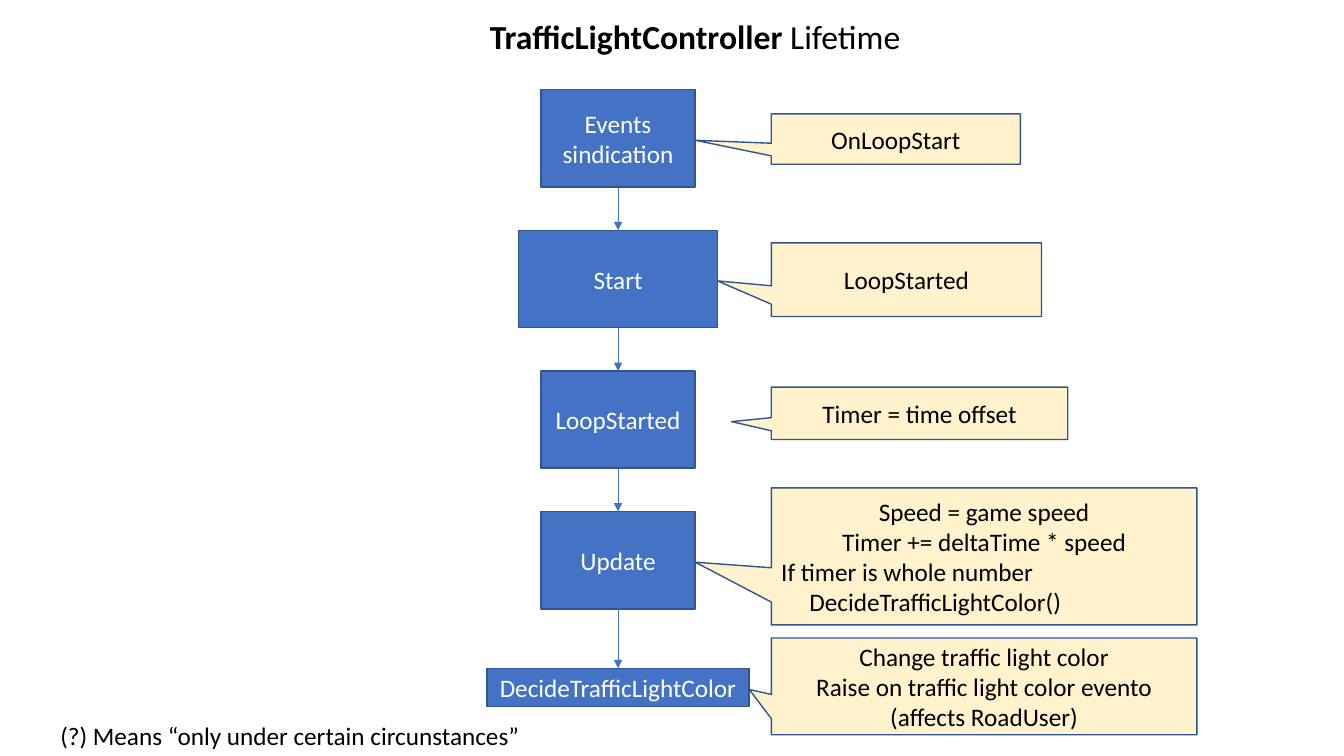
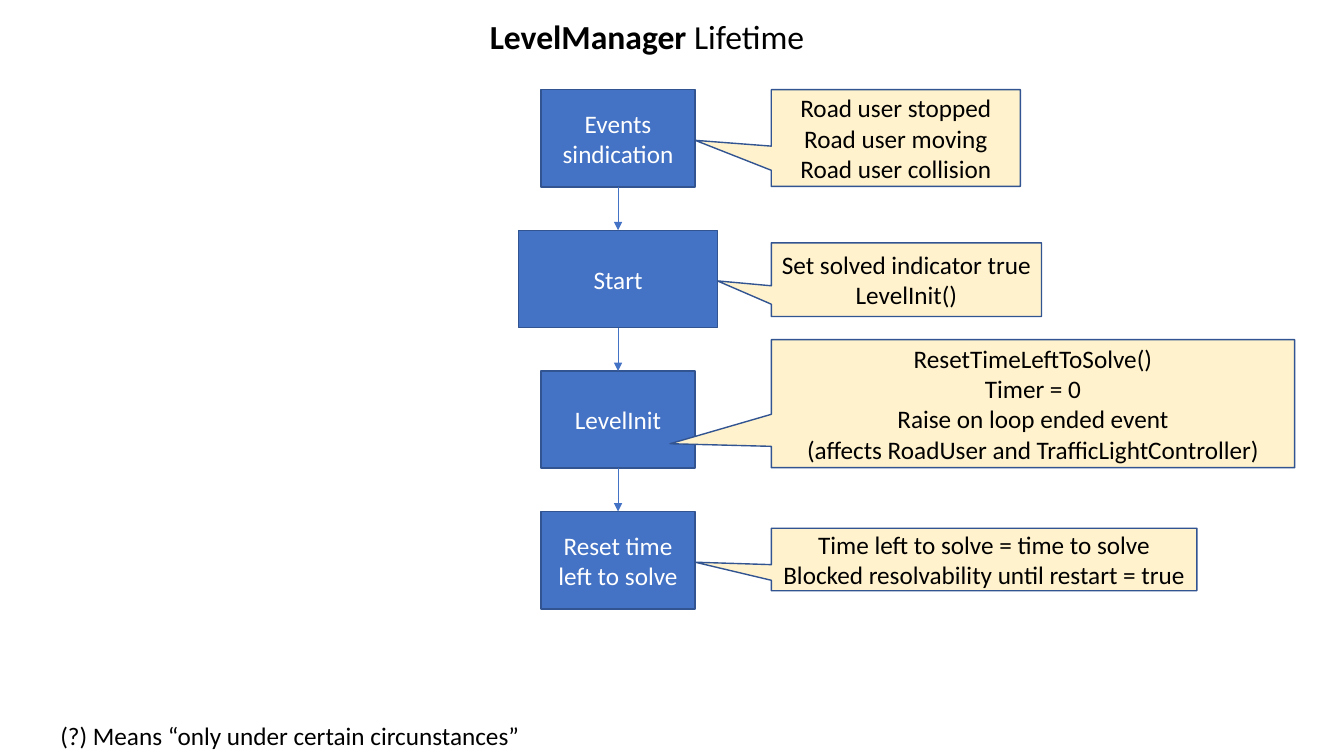
from dataclasses import dataclass

from lxml.etree import SubElement
from pptx import Presentation
from pptx.dml.color import RGBColor
from pptx.enum.shapes import MSO_CONNECTOR, MSO_SHAPE
from pptx.enum.text import MSO_ANCHOR, PP_ALIGN
from pptx.oxml.ns import qn
from pptx.util import Inches, Pt

SLIDE_WIDTH, SLIDE_HEIGHT = 13.33, 7.5
FONT = "Calibri"
BLACK, WHITE = "000000", "FFFFFF"
BLUE, OUTLINE, CREAM = "4472C4", "325491", "FFF2CC"

FLOW_CENTER, FLOW_TOP, FLOW_BOTTOM = 6.13, 0.89, 6.04
FLOW_ROWS, FLOW_GAP = 4, 0.43
STEP_HEIGHT = (FLOW_BOTTOM - FLOW_TOP - FLOW_GAP * (FLOW_ROWS - 1)) / FLOW_ROWS
ROW_PITCH = STEP_HEIGHT + FLOW_GAP
STEP_WIDTH, START_WIDTH = 1.53, 1.97
CALL_TOP, CALL_WIDTH, CALL_HEIGHT = 6.63, 2.6, 0.38
NOTE_LEFT = 7.65
EVENTS_NOTE, START_NOTE, LOOP_NOTE, WIDE_NOTE = 2.47, 2.68, 2.94, 4.22
LEGEND = "(?) Means “only under certain circunstances”"


@dataclass(frozen=True)
class Span:
    text: str
    bold: bool = False


@dataclass(frozen=True)
class Line:
    spans: tuple[Span, ...]
    align: PP_ALIGN = PP_ALIGN.CENTER
    indent: float = 0


@dataclass(frozen=True)
class Area:
    left: float
    top: float
    width: float
    height: float

    @property
    def middle(self) -> float:
        return self.top + self.height / 2

    @property
    def right(self) -> float:
        return self.left + self.width


@dataclass(frozen=True)
class Note:
    lines: tuple[Line, ...]
    top: float
    width: float
    height: float
    tip_right: float = 0
    tip_down: float = 0.02


@dataclass(frozen=True)
class Step:
    text: str
    note: Note
    width: float = STEP_WIDTH
    height: float = STEP_HEIGHT
    top: float | None = None


@dataclass(frozen=True)
class Lifetime:
    subject: str
    title_width: float
    steps: tuple[Step, ...]


def centered(*texts: str) -> tuple[Line, ...]:
    return tuple(Line((Span(text),)) for text in texts)


def left_line(*spans: Span, indent: float = 0) -> Line:
    return Line(spans, PP_ALIGN.LEFT, indent)


LIFETIMES = (
    Lifetime("TrafficLightController", 4.33, (
        Step("Events sindication", Note(centered("OnLoopStart"), 1.13, EVENTS_NOTE, 0.5)),
        Step("Start", Note(centered("LoopStarted"), 2.41, START_NOTE, 0.73),
             START_WIDTH),
        Step("LoopStarted", Note(centered("Timer = time offset"), 3.84, LOOP_NOTE,
                                 0.52, tip_right=0.36)),
        Step("Update", Note(
            centered("Speed = game speed", "Timer += deltaTime * speed")
            + (left_line(Span("If timer is whole number")),
               left_line(Span("DecideTrafficLightColor()"), indent=0.28)),
            4.84, WIDE_NOTE, 1.36)),
        Step("DecideTrafficLightColor", Note(
            centered("Change traffic light color",
                     "Raise on traffic light color evento", "(affects RoadUser)"),
            6.33, WIDE_NOTE, 0.96), CALL_WIDTH, CALL_HEIGHT, CALL_TOP),
    )),
    Lifetime("LevelManager", 3.36, (
        Step("Events sindication", Note(
            centered("Road user stopped", "Road user moving", "Road user collision"),
            0.89, EVENTS_NOTE, 0.96)),
        Step("Start", Note(centered("Set solved indicator true", "LevelInit()"),
                           2.41, START_NOTE, 0.73), START_WIDTH),
        Step("LevelInit", Note(
            centered("ResetTimeLeftToSolve()", "Timer = 0", "Raise on loop ended event",
                     "(affects RoadUser and TrafficLightController)"),
            3.37, 5.19, 1.27, tip_right=-0.25, tip_down=0.24)),
        Step("Reset time left to solve", Note(
            centered("Time left to solve = time to solve",
                     "Blocked resolvability until restart = true"),
            5.24, WIDE_NOTE, 0.62)),
    )),
)


def color(value: str) -> RGBColor:
    return RGBColor.from_string(value)


def inches(area: Area) -> tuple[Inches, ...]:
    return tuple(Inches(v) for v in (area.left, area.top, area.width, area.height))


def write(frame, lines: tuple[Line, ...], ink: str, size: float = 18) -> None:
    for index, line in enumerate(lines):
        para = frame.paragraphs[0] if index == 0 else frame.add_paragraph()
        para.alignment = line.align
        if line.indent:
            para._p.get_or_add_pPr().set("marL", str(Inches(line.indent)))
        for span in line.spans:
            run = para.add_run()
            run.text = span.text
            run.font.name, run.font.size, run.font.bold = FONT, Pt(size), span.bold
            run.font.color.rgb = color(ink)


def add_label(page, area: Area, line: Line, size: float = 18) -> None:
    frame = page.shapes.add_textbox(*inches(area)).text_frame
    frame.word_wrap = False
    write(frame, (line,), BLACK, size)


def add_box(page, preset: MSO_SHAPE, area: Area, lines: tuple[Line, ...],
            fill: str, ink: str):
    box = page.shapes.add_shape(preset, *inches(area))
    box.shadow.inherit = False
    box.fill.solid()
    box.fill.fore_color.rgb = color(fill)
    box.line.color.rgb = color(OUTLINE)
    box.line.width = Pt(1)
    box.text_frame.word_wrap = True
    box.text_frame.vertical_anchor = MSO_ANCHOR.MIDDLE
    write(box.text_frame, lines, ink)
    return box


def add_note(page, note: Note, step_area: Area) -> None:
    area = Area(NOTE_LEFT, note.top, note.width, note.height)
    callout = add_box(page, MSO_SHAPE.RECTANGULAR_CALLOUT, area, note.lines, CREAM, BLACK)
    tip_x = step_area.right + note.tip_right
    tip_y = step_area.middle + note.tip_down
    callout.adjustments[0] = (tip_x - area.left) / area.width - 0.5
    callout.adjustments[1] = (tip_y - area.middle) / area.height


def add_arrow(page, above, below) -> None:
    arrow = page.shapes.add_connector(MSO_CONNECTOR.STRAIGHT, 0, 0, 0, 0)
    arrow.begin_connect(above, 2)
    arrow.end_connect(below, 0)
    arrow.line.color.rgb = color(BLUE)
    arrow.line.width = Pt(0.5)
    SubElement(arrow.line._get_or_add_ln(), qn("a:tailEnd")).set("type", "triangle")
    SubElement(arrow._element.spPr, qn("a:effectLst"))


def add_lifetime(deck, lifetime: Lifetime) -> None:
    page = deck.slides.add_slide(deck.slide_layouts[6])
    add_label(page, Area(4.76, 0.11, lifetime.title_width, 0.5),
              left_line(Span(f"{lifetime.subject} ", True), Span("Lifetime")), 24)
    add_label(page, Area(0.5, 7.1, 4.81, 0.4), left_line(Span(LEGEND)))
    previous = None
    for row, step in enumerate(lifetime.steps):
        top = FLOW_TOP + row * ROW_PITCH if step.top is None else step.top
        area = Area(FLOW_CENTER - step.width / 2, top, step.width, step.height)
        box = add_box(page, MSO_SHAPE.RECTANGLE, area, centered(step.text), BLUE, WHITE)
        if previous is not None:
            add_arrow(page, previous, box)
        add_note(page, step.note, area)
        previous = box


def main() -> None:
    """Build the lifetime diagrams and save the deck."""
    deck = Presentation()
    deck.slide_width, deck.slide_height = Inches(SLIDE_WIDTH), Inches(SLIDE_HEIGHT)
    for lifetime in LIFETIMES:
        add_lifetime(deck, lifetime)
    deck.save("out.pptx")


if __name__ == "__main__":
    main()
